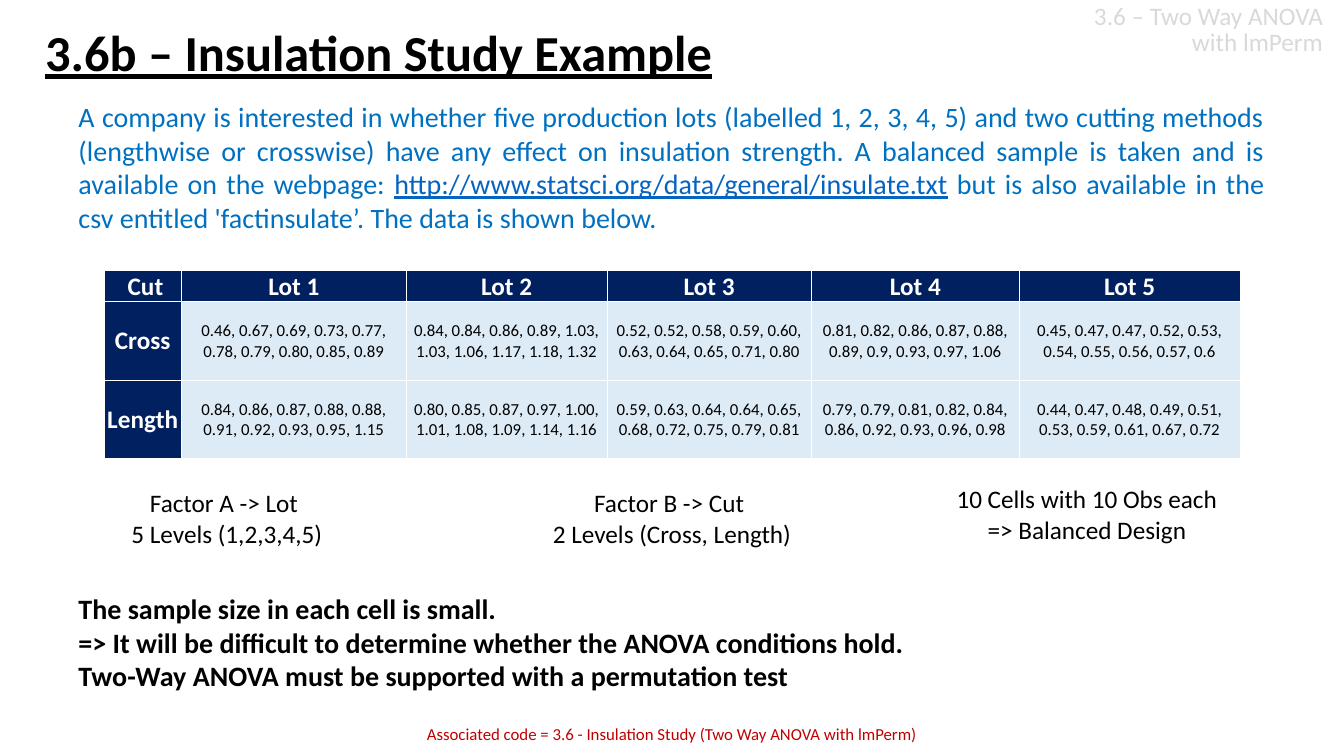
import pptx
import pptx.util
import pptx.dml.color
import pptx.enum.text
import pptx.oxml.ns
from lxml import etree

Inches, Pt = pptx.util.Inches, pptx.util.Pt
ALIGN = pptx.enum.text.PP_ALIGN
ANCHOR = pptx.enum.text.MSO_ANCHOR

COLORS = {
    "black": "000000", "white": "FFFFFF", "grey": "D9D9D9", "blue": "0070C0",
    "link": "0563C1", "red": "C00000", "navy": "002060", "pale": "DDEBF7",
}


def style(p, size, color, align, bold=False):
    p.alignment = align
    for r in p.runs:
        r.font.name = "Calibri"
        r.font.size = Pt(size)
        r.font.bold = bold
        r.font.color.rgb = pptx.dml.color.RGBColor.from_string(COLORS[color])


def add_text(box, lines, size, color, align, bold=False):
    tf = s.shapes.add_textbox(*[Inches(v) for v in box]).text_frame
    tf.word_wrap = True
    tf.text = "\n".join(lines)
    for p in tf.paragraphs:
        style(p, size, color, align, bold)
    return tf


prs = pptx.Presentation()
prs.slide_width, prs.slide_height = Inches(13.33), Inches(7.5)
s = prs.slides.add_slide(prs.slide_layouts[6])

# Section label, title and footer
tf = add_text((10.27, 0, 2.95, 0.6), ["3.6 – Two Way ANOVA with lmPerm"],
              18, "grey", ALIGN.RIGHT)
tf.paragraphs[0].line_spacing = 0.85

tf = add_text((0.35, 0.22, 9.46, 0.66), ["3.6b – Insulation Study Example"],
              36, "black", ALIGN.LEFT, True)
tf.vertical_anchor = ANCHOR.MIDDLE
tf.paragraphs[0].line_spacing = 0.9
tf.paragraphs[0].runs[0].font.underline = True

add_text((3.29, 7.13, 6.75, 0.34),
         ["Associated code = 3.6 - Insulation Study (Two Way ANOVA with lmPerm)"],
         12, "red", ALIGN.CENTER)

# Introduction with the web address
tf = add_text((0.68, 0.94, 11.96, 1.44), [""], 20, "blue", ALIGN.JUSTIFY)
p = tf.paragraphs[0]
for text in (
    "A company is interested in whether five production lots (labelled 1, 2, 3, 4, 5) "
    "and two cutting methods (lengthwise or crosswise) have any effect on insulation "
    "strength. A balanced sample is taken and is available on the webpage: ",
    "http://www.statsci.org/data/general/insulate.txt",
    " but is also available in the csv entitled 'factinsulate’. "
    "The data is shown below.",
):
    p.add_run().text = text
style(p, 20, "blue", ALIGN.JUSTIFY)
link = p.runs[1].font
link.underline = True
link.color.rgb = pptx.dml.color.RGBColor.from_string(COLORS["link"])

# Data table
rows = [
    ["\N{NO-BREAK SPACE}Cut"] + [f"Lot {n}" for n in range(1, 6)],
    ["Cross",
     "0.46, 0.67, 0.69, 0.73, 0.77, 0.78, 0.79, 0.80, 0.85, 0.89",
     "0.84, 0.84, 0.86, 0.89, 1.03, 1.03, 1.06, 1.17, 1.18, 1.32",
     "0.52, 0.52, 0.58, 0.59, 0.60, 0.63, 0.64, 0.65, 0.71, 0.80",
     "0.81, 0.82, 0.86, 0.87, 0.88, 0.89, 0.9, 0.93, 0.97, 1.06",
     "0.45, 0.47, 0.47, 0.52, 0.53, 0.54, 0.55, 0.56, 0.57, 0.6"],
    ["Length",
     "0.84, 0.86, 0.87, 0.88, 0.88, 0.91, 0.92, 0.93, 0.95, 1.15",
     "0.80, 0.85, 0.87, 0.97, 1.00, 1.01, 1.08, 1.09, 1.14, 1.16",
     "0.59, 0.63, 0.64, 0.64, 0.65, 0.68, 0.72, 0.75, 0.79, 0.81",
     "0.79, 0.79, 0.81, 0.82, 0.84, 0.86, 0.92, 0.93, 0.96, 0.98",
     "0.44, 0.47, 0.48, 0.49, 0.51, 0.53, 0.59, 0.61, 0.67, 0.72"],
]
table = s.shapes.add_table(3, 6, Inches(1.03), Inches(2.68),
                           Inches(11.27), Inches(1.87)).table
for column, width in zip(table.columns, (0.77, 2.23, 1.99, 2.03, 2.06, 2.19)):
    column.width = Inches(width)
for row, height in zip(table.rows, (0.31, 0.78, 0.78)):
    row.height = Inches(height)

qn = pptx.oxml.ns.qn
for i, row in enumerate(rows):
    for j, text in enumerate(row):
        cell = table.cell(i, j)
        header = i == 0 or j == 0
        cell.text = text
        cell.vertical_anchor = ANCHOR.MIDDLE
        cell.margin_left = cell.margin_right = cell.margin_top = Inches(0.01)
        cell.margin_bottom = 0
        style(cell.text_frame.paragraphs[0], 18 if header else 12,
              "white" if header else "black", ALIGN.CENTER, header)
        # Thin white borders, which must precede the fill
        tcPr = cell._tc.get_or_add_tcPr()
        for side in ("a:lnL", "a:lnR", "a:lnT", "a:lnB"):
            ln = etree.SubElement(tcPr, qn(side), w=str(Pt(0.5)))
            fill = etree.SubElement(ln, qn("a:solidFill"))
            etree.SubElement(fill, qn("a:srgbClr"), val=COLORS["white"])
        cell.fill.solid()
        cell.fill.fore_color.rgb = pptx.dml.color.RGBColor.from_string(
            COLORS["navy" if header else "pale"])

# Design notes under the table
for box, lines in (
    ((1.03, 4.79, 2.44, 0.87), ["Factor A -> Lot ", "5 Levels (1,2,3,4,5)"]),
    ((5.03, 4.79, 3.27, 0.87), ["Factor B -> Cut ", "2 Levels (Cross, Length)"]),
    ((9.26, 4.75, 3.04, 0.87), ["10 Cells with 10 Obs each", "=> Balanced Design"]),
):
    add_text(box, lines, 18, "black", ALIGN.CENTER)

# Conclusion
add_text((0.68, 5.82, 12.14, 1.16), [
    "The sample size in each cell is small.",
    "=> It will be difficult to determine whether the ANOVA conditions hold.",
    "Two-Way ANOVA must be supported with a permutation test",
], 20, "black", ALIGN.JUSTIFY, True)

prs.save("out.pptx")
